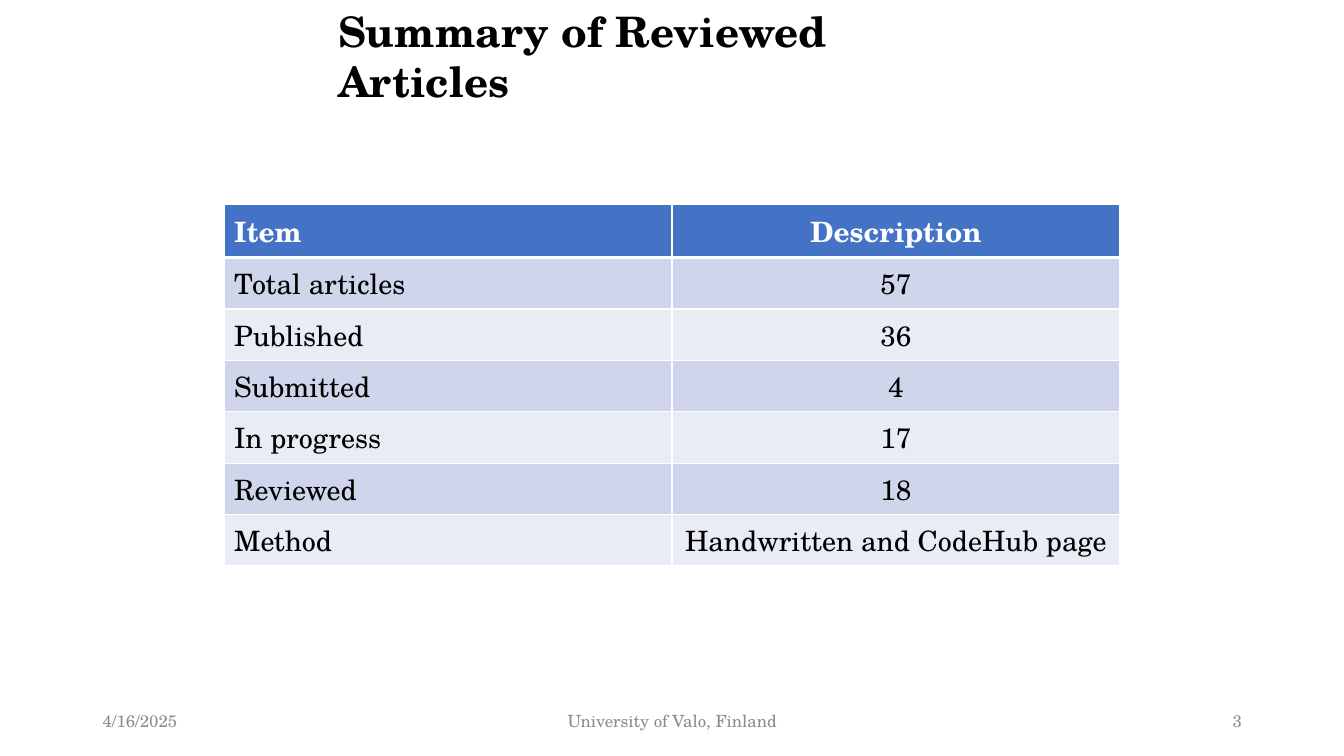
import dataclasses

import lxml.etree
import pptx
import pptx.dml.color
import pptx.enum.text
import pptx.oxml.ns
import pptx.util

RGBColor = pptx.dml.color.RGBColor
ALIGN = pptx.enum.text.PP_ALIGN
ANCHOR = pptx.enum.text.MSO_ANCHOR
qn = pptx.oxml.ns.qn

BLACK = RGBColor(0x00, 0x00, 0x00)
WHITE = RGBColor(0xFF, 0xFF, 0xFF)
GREY = RGBColor(0x8C, 0x8C, 0x8C)
BLUE = RGBColor(0x44, 0x72, 0xC4)
BANDS = (RGBColor(0xE9, 0xEB, 0xF5), RGBColor(0xCF, 0xD5, 0xEA))

FONT = "TeX Gyre Schola"
WIDTH = pptx.util.Inches(13.33)
HEIGHT = pptx.util.Inches(7.5)
SIXTH = WIDTH // 6
ROW_HEIGHT = pptx.util.Inches(0.51)
FOOTER_TOP = int(HEIGHT * 0.927)
FOOTER_HEIGHT = int(HEIGHT * 0.053)


@dataclasses.dataclass
class Footer:
    text: str
    left: float
    width: float
    align: ALIGN


FOOTERS = (
    Footer("4/16/2025", 0.069, 0.225, ALIGN.LEFT),
    Footer("University of Valo, Finland", 0.3315, 0.3375, ALIGN.CENTER),
    Footer("3", 0.7065, 0.225, ALIGN.RIGHT),
)

ROWS = (
    ("Item", "Description"),
    ("Total articles", "57"),
    ("Published", "36"),
    ("Submitted", "4"),
    ("In progress", "17"),
    ("Reviewed", "18"),
    ("Method", "Handwritten and CodeHub page"),
)


def write(tf, text: str, *, size: float, color: RGBColor,
          bold: bool = False, align: ALIGN = ALIGN.LEFT) -> None:
    p = tf.paragraphs[0]
    p.alignment = align
    r = p.add_run()
    r.text = text
    r.font.name = FONT
    r.font.size = pptx.util.Pt(size)
    r.font.bold = bold
    r.font.color.rgb = color


def add_border(cell, side: str, points: float) -> None:
    tc_pr = cell._tc.get_or_add_tcPr()
    ln = lxml.etree.SubElement(tc_pr, qn(f"a:ln{side}"), w=str(pptx.util.Pt(points)))
    fill = lxml.etree.SubElement(ln, qn("a:solidFill"))
    lxml.etree.SubElement(fill, qn("a:srgbClr"), val=str(WHITE))


def add_title(s) -> None:
    sp = s.shapes.title
    sp.left, sp.top = int(WIDTH * 0.244), 0
    sp.width, sp.height = int(WIDTH * 0.513), int(HEIGHT * 0.081)
    tf = sp.text_frame
    tf.word_wrap = True
    tf.auto_size = pptx.enum.text.MSO_AUTO_SIZE.NONE
    tf.vertical_anchor = ANCHOR.TOP
    tf.margin_right = pptx.util.Inches(0.3)
    write(tf, "Summary of Reviewed Articles", size=30, color=BLACK, bold=True)


def add_summary(s) -> None:
    table = s.shapes.add_table(len(ROWS), 2, SIXTH, int(HEIGHT * 0.27),
                               4 * SIXTH, len(ROWS) * ROW_HEIGHT).table
    for i, row in enumerate(ROWS):
        header = i == 0
        for j, text in enumerate(row):
            cell = table.cell(i, j)
            for side in "LRTB":
                thick = (header and side == "B") or (i == 1 and side == "T")
                add_border(cell, side, 3 if thick else 1)
            cell.fill.solid()
            cell.fill.fore_color.rgb = BLUE if header else BANDS[i % 2]
            cell.vertical_anchor = ANCHOR.MIDDLE
            write(cell.text_frame, text, size=20, bold=header,
                  color=WHITE if header else BLACK,
                  align=ALIGN.CENTER if j else ALIGN.LEFT)


def add_footer(s, footer: Footer) -> None:
    sp = s.shapes.add_textbox(int(WIDTH * footer.left), FOOTER_TOP,
                              int(WIDTH * footer.width), FOOTER_HEIGHT)
    tf = sp.text_frame
    tf.word_wrap = True
    tf.vertical_anchor = ANCHOR.MIDDLE
    write(tf, footer.text, size=12, color=GREY, align=footer.align)


def main() -> None:
    prs = pptx.Presentation()
    prs.slide_width, prs.slide_height = WIDTH, HEIGHT
    s = prs.slides.add_slide(prs.slide_layouts.get_by_name("Title Only"))
    add_summary(s)
    add_title(s)
    for footer in FOOTERS:
        add_footer(s, footer)
    prs.save("out.pptx")


if __name__ == "__main__":
    main()
